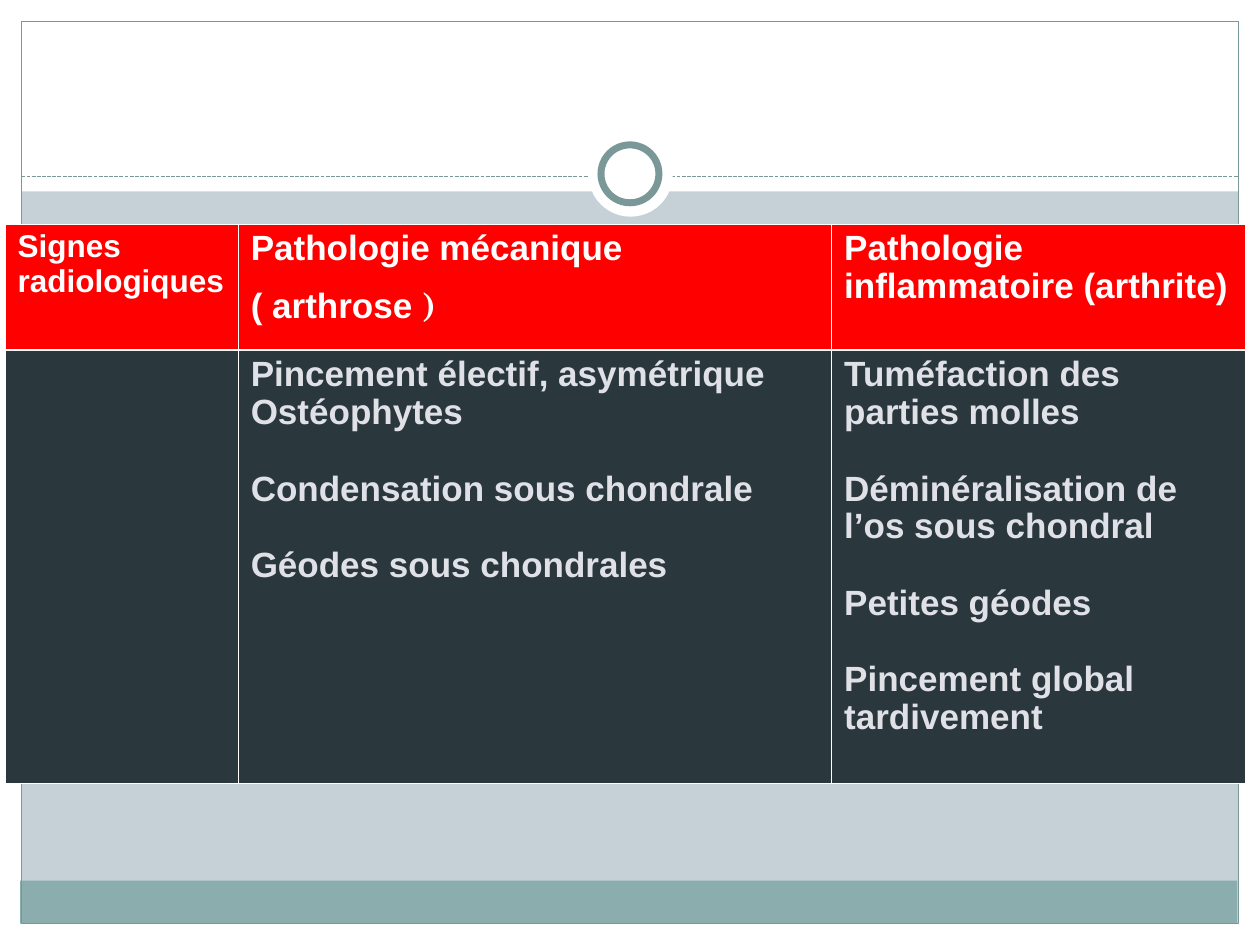
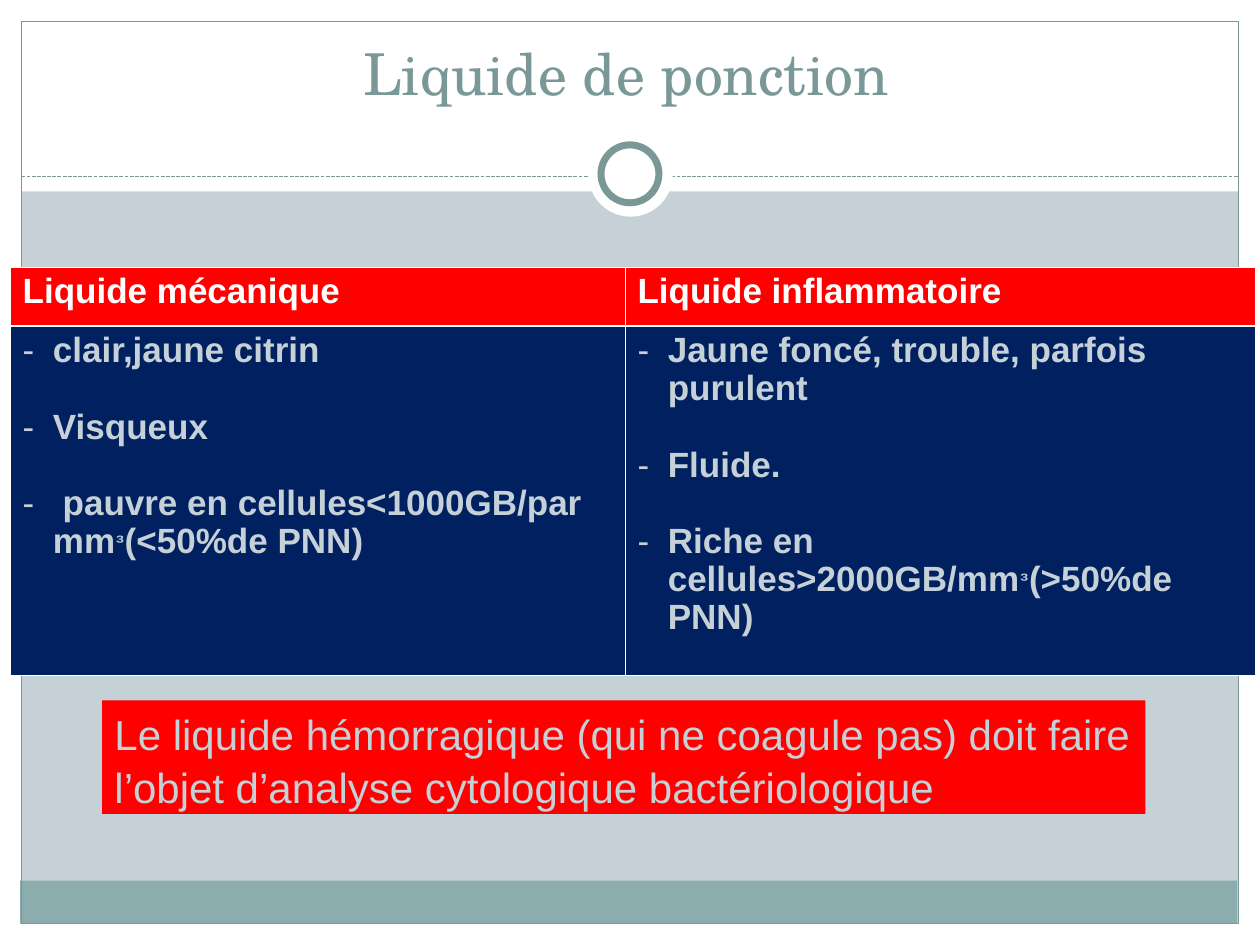
"""Build two slides comparing mechanical and inflammatory joint disease."""
from dataclasses import dataclass
from typing import Any, Optional

from lxml import etree
from pptx import Presentation
from pptx import util as u
from pptx.dml.color import RGBColor
from pptx.enum import dml, shapes, text
from pptx.oxml import ns

EMU_PER_PX = 9144


@dataclass(frozen=True)
class Theme:
    """Colours, fonts and type sizes of the deck."""
    ground: str = "C5D1D7"
    white: str = "FFFFFF"
    footer: str = "8CADAE"
    accent: str = "7B9899"
    alert: str = "FF0000"
    slate: str = "2A373D"
    navy: str = "002060"
    pale: str = "DFE1E7"
    sans: str = "Arial"
    serif: str = "TeX Gyre Schola"
    title_size: int = 33
    callout_size: int = 24
    table_size: int = 20
    label_size: int = 18
    gap: int = 22
    thin: float = 0.45
    thick: float = 1.47


THEME = Theme()


@dataclass(frozen=True)
class Box:
    """A rectangle in px."""
    left: int
    top: int
    width: int
    height: int

    def emu(self) -> tuple[int, ...]:
        """Return the four lengths in EMU."""
        return tuple(px(n) for n in (self.left, self.top, self.width, self.height))


@dataclass(frozen=True)
class Part:
    """A preset shape of the frame."""
    box: Box
    fill: Optional[str] = None
    line: Optional[str] = None
    weight: float = 0.75
    kind: Any = shapes.MSO_SHAPE.RECTANGLE


@dataclass(frozen=True)
class Run:
    """A stretch of text with an optional font or raised position."""
    words: str
    font: str = THEME.sans
    raised: bool = False


@dataclass(frozen=True)
class Para:
    """A paragraph with the space before it in points."""
    runs: tuple[Run, ...]
    before: int = 0
    bullet: bool = False


@dataclass(frozen=True)
class Style:
    """The look of the text in one box or cell."""
    size: int
    color: str
    bold: bool = False
    font: Optional[str] = None
    spacing: float = 1.0
    align: Any = text.PP_ALIGN.LEFT


@dataclass(frozen=True)
class Cell:
    """A table cell's paragraphs and type size."""
    paras: tuple[Para, ...] = ()
    size: int = THEME.table_size


@dataclass(frozen=True)
class Comparison:
    """A table with one header row and one row of findings."""
    left: int
    top: int
    columns: tuple[int, ...]
    rows: tuple[int, int]
    header: tuple[Cell, ...]
    findings: tuple[Cell, ...]
    fill: str
    ink: str


FRAME_LEFT, FRAME_RIGHT = 17, 983
RULE_Y = 140
OVAL = shapes.MSO_SHAPE.OVAL
BANDS = (
    Part(Box(0, 733, 1000, 17), THEME.white),
    Part(Box(0, 0, 1000, 152), THEME.white),
    Part(Box(0, 0, 17, 750), THEME.white),
    Part(Box(FRAME_RIGHT, 0, 17, 750), THEME.white),
    Part(Box(16, 699, 966, 34), THEME.footer),
    Part(Box(FRAME_LEFT, 17, 966, 716), line=THEME.accent),
)
RING = (
    Part(Box(467, 105, 67, 67), THEME.white, kind=OVAL),
    Part(Box(477, 115, 46, 46), THEME.white, THEME.accent, 4, OVAL),
)


def px(length: int) -> int:
    """Turn px into EMU."""
    return length * EMU_PER_PX


def rgb(code: str) -> RGBColor:
    """Turn a hex code into a colour."""
    return RGBColor.from_string(code)


def para(words: str, before: int = 0, bullet: bool = False) -> Para:
    """Make a plain paragraph."""
    return Para((Run(words),), before, bullet)


def cell(*lines: str, size: int = THEME.table_size) -> Cell:
    """Make a cell whose lines stand one blank line apart."""
    return Cell(tuple(para(words, THEME.gap if i else 0) for i, words in enumerate(lines)), size)


def dashed(*lines: tuple[Run, ...]) -> Cell:
    """Make a cell of dashed items standing one blank line apart."""
    return Cell(tuple(Para(runs, THEME.gap if i else 0, True) for i, runs in enumerate(lines)))


def sub(parent: Any, tag: str, **values: str) -> Any:
    """Append a DrawingML element."""
    return etree.SubElement(parent, ns.qn(tag), values)


def add_dash(paragraph: Any, color: str) -> None:
    """Give a paragraph a dash with a hanging indent."""
    props = paragraph._p.get_or_add_pPr()
    indent = px(24)
    props.set("marL", str(indent))
    props.set("indent", str(-indent))
    sub(sub(props, "a:buClr"), "a:srgbClr", val=color)
    sub(props, "a:buFont", typeface=THEME.sans)
    sub(props, "a:buChar", char="-")


def write(frame: Any, paras: tuple[Para, ...], style: Style) -> None:
    """Fill a text frame with styled paragraphs."""
    for i, content in enumerate(paras):
        paragraph = frame.add_paragraph() if i else frame.paragraphs[0]
        layout = {"alignment": style.align, "line_spacing": style.spacing,
                  "space_before": u.Pt(content.before)}
        for name, value in layout.items():
            setattr(paragraph, name, value)
        if content.bullet:
            add_dash(paragraph, style.color)
        for piece in content.runs:
            run = paragraph.add_run()
            run.text = piece.words
            look = {"size": u.Pt(style.size), "bold": style.bold,
                    "name": style.font or piece.font}
            for name, value in look.items():
                setattr(run.font, name, value)
            run.font.color.rgb = rgb(style.color)
            if piece.raised:
                run._r.get_or_add_rPr().set("baseline", "30000")


def add_part(slide: Any, part: Part) -> Any:
    """Draw one preset shape."""
    shape = slide.shapes.add_shape(part.kind, *part.box.emu())
    shape.shadow.inherit = False
    if part.fill:
        shape.fill.solid()
        shape.fill.fore_color.rgb = rgb(part.fill)
    else:
        shape.fill.background()
    if part.line:
        shape.line.color.rgb = rgb(part.line)
        shape.line.width = u.Pt(part.weight)
    else:
        shape.line.fill.background()
    return shape


def add_rule(slide: Any) -> None:
    """Draw the dashed rule under the title area."""
    rule = slide.shapes.add_connector(
        shapes.MSO_CONNECTOR.STRAIGHT, px(FRAME_LEFT), px(RULE_Y), px(FRAME_RIGHT), px(RULE_Y))
    rule.line.color.rgb = rgb(THEME.accent)
    rule.line.width = u.Pt(0.75)
    rule.line.dash_style = dml.MSO_LINE.SQUARE_DOT
    sub(rule._element.spPr, "a:effectLst")


def new_slide(deck: Any) -> Any:
    """Add a slide with the shared ground, bands, rule and ring."""
    slide = deck.slides.add_slide(deck.slide_layouts[6])
    slide.background.fill.solid()
    slide.background.fill.fore_color.rgb = rgb(THEME.ground)
    for band in BANDS:
        add_part(slide, band)
    add_rule(slide)
    for disc in RING:
        add_part(slide, disc)
    return slide


def add_title(slide: Any, words: str) -> None:
    """Write the slide title."""
    frame = slide.shapes.add_textbox(*Box(47, -35, 900, 125).emu()).text_frame
    frame.word_wrap = True
    frame.vertical_anchor = text.MSO_ANCHOR.BOTTOM
    write(frame, (para(words),), Style(THEME.title_size, THEME.accent, font=THEME.serif,
                                       align=text.PP_ALIGN.CENTER))


def add_borders(target: Any, is_header: bool) -> None:
    """Edge a cell in white, heavier between header and findings."""
    heavy = "a:lnB" if is_header else "a:lnT"
    props = target._tc.get_or_add_tcPr()
    for i, tag in enumerate(("a:lnL", "a:lnR", "a:lnT", "a:lnB")):
        weight = THEME.thick if tag == heavy else THEME.thin
        edge = sub(props, tag, w=str(int(u.Pt(weight))))
        sub(sub(edge, "a:solidFill"), "a:srgbClr", val=THEME.white)
        props.insert(i, edge)


def add_comparison(slide: Any, plan: Comparison) -> None:
    """Draw a comparison table."""
    box = Box(plan.left, plan.top, sum(plan.columns), sum(plan.rows))
    table = slide.shapes.add_table(2, len(plan.columns), *box.emu()).table
    table.horz_banding = False
    for column, width in zip(table.columns, plan.columns):
        column.width = px(width)
    looks = ((plan.header, THEME.alert, THEME.white), (plan.findings, plan.fill, plan.ink))
    for r, (cells, fill, ink) in enumerate(looks):
        table.rows[r].height = px(plan.rows[r])
        for c, content in enumerate(cells):
            target = table.cell(r, c)
            target.fill.solid()
            target.fill.fore_color.rgb = rgb(fill)
            add_borders(target, r == 0)
            write(target.text_frame, content.paras, Style(content.size, ink, True, spacing=0.97))


def add_callout(slide: Any, words: str) -> None:
    """Draw the red warning under the table."""
    frame = add_part(slide, Part(Box(81, 556, 828, 90), THEME.alert)).text_frame
    frame.word_wrap = True
    frame.vertical_anchor = text.MSO_ANCHOR.TOP
    write(frame, (para(words),), Style(THEME.callout_size, THEME.ground, spacing=1.04))


RADIOLOGY = Comparison(
    4, 178, (185, 471, 328), (100, 344),
    header=(
        cell("Signes radiologiques", size=THEME.label_size),
        Cell((para("Pathologie mécanique"),
              Para((Run("( arthrose "), Run(")", THEME.serif)), 5))),
        cell("Pathologie inflammatoire (arthrite)"),
    ),
    findings=(
        Cell(),
        Cell((para("Pincement électif, asymétrique"), para("Ostéophytes"),
              para("Condensation sous chondrale", THEME.gap),
              para("Géodes sous chondrales", THEME.gap))),
        cell("Tuméfaction des parties molles", "Déminéralisation de l’os sous chondral",
             "Petites géodes", "Pincement global tardivement"),
    ),
    fill=THEME.slate, ink=THEME.pale)

CUBE = Run("₃", raised=True)
FLUID = Comparison(
    8, 212, (488, 500), (47, 277),
    header=(cell("Liquide mécanique"), cell("Liquide inflammatoire")),
    findings=(
        dashed((Run("clair,jaune citrin"),), (Run("Visqueux"),),
               (Run(" pauvre en cellules<1000GB/par mm"), CUBE, Run("(<50%de PNN)"))),
        dashed((Run("Jaune foncé, trouble, parfois purulent"),), (Run("Fluide."),),
               (Run("Riche en cellules>2000GB/mm"), CUBE, Run("(>50%de PNN)"))),
    ),
    fill=THEME.navy, ink=THEME.ground)


def main() -> None:
    """Build and save the deck."""
    deck = Presentation()
    deck.slide_width, deck.slide_height = px(1000), px(750)
    add_comparison(new_slide(deck), RADIOLOGY)
    fluid = new_slide(deck)
    add_title(fluid, "Liquide de ponction")
    add_comparison(fluid, FLUID)
    add_callout(fluid, "Le liquide hémorragique (qui ne coagule pas) doit faire "
                       "l’objet d’analyse cytologique bactériologique")
    deck.save("out.pptx")


if __name__ == "__main__":
    main()
